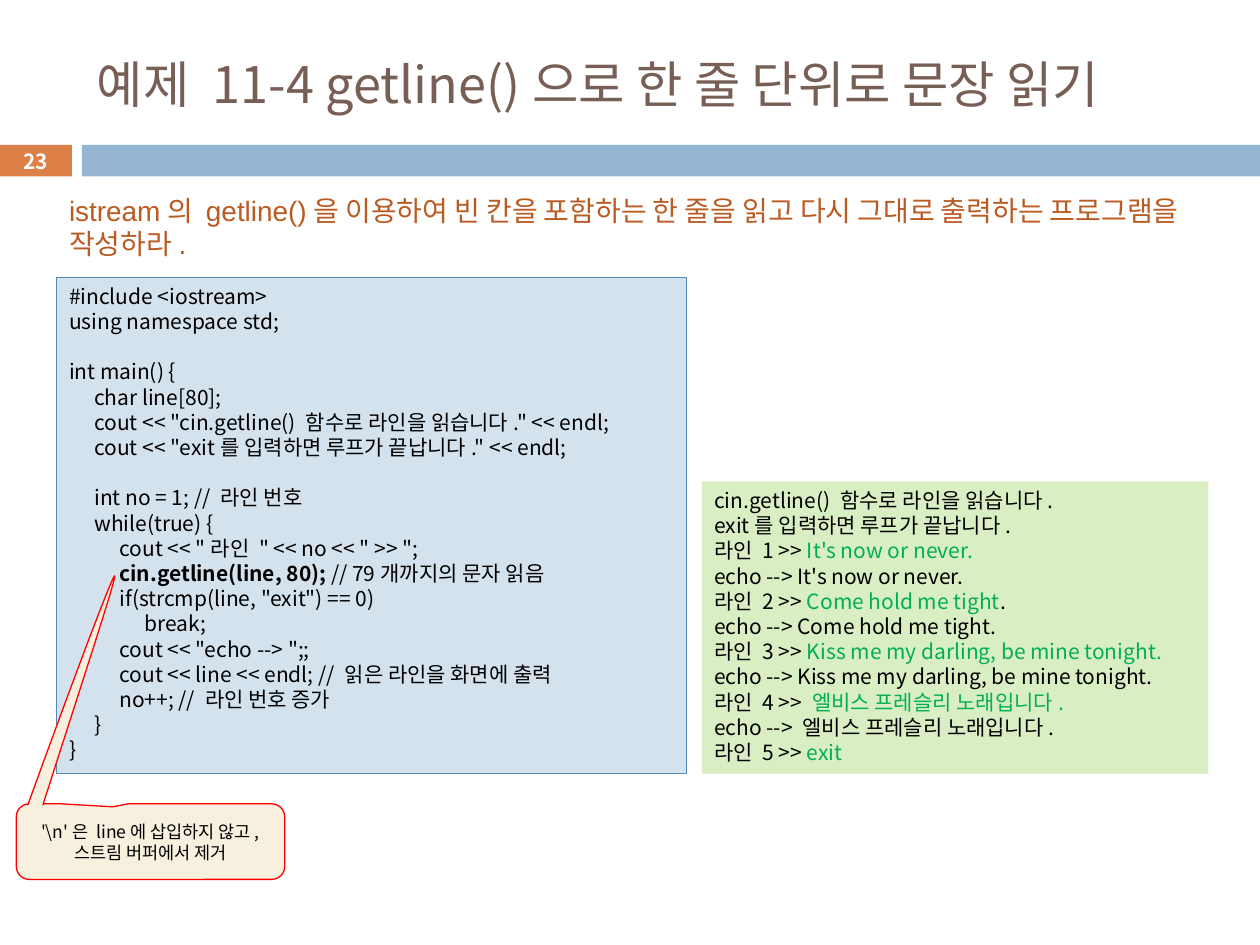
from pptx import Presentation
from pptx.dml.color import RGBColor
from pptx.enum.shapes import MSO_SHAPE
from pptx.enum.text import MSO_ANCHOR, PP_ALIGN
from pptx.oxml.ns import qn
from pptx.util import Inches, Pt
from lxml.etree import SubElement

BLACK = RGBColor(0x00, 0x00, 0x00)
WHITE = RGBColor(0xFF, 0xFF, 0xFF)
BROWN = RGBColor(0x77, 0x5F, 0x55)
RUST = RGBColor(0xB9, 0x5B, 0x22)
ORANGE = RGBColor(0xDD, 0x80, 0x47)
BLUE = RGBColor(0x94, 0xB6, 0xD2)
PALE_BLUE = RGBColor(0xD4, 0xE2, 0xED)
EDGE_BLUE = RGBColor(0x55, 0x8B, 0xB8)
PALE_GREEN = RGBColor(0xDA, 0xEE, 0xC4)
INPUT_GREEN = RGBColor(0x00, 0xB0, 0x50)
CREAM = RGBColor(0xF7, 0xF0, 0xDE)
RED = RGBColor(0xFF, 0x00, 0x00)
KOREAN_FONT = "Noto Sans CJK KR"

# Content: a line is a string, or a list of strings and (string, style) pairs
TITLE = "예제 11-4 getline()으로 한 줄 단위로 문장 읽기"
PAGE_NUMBER = "23"
TASK = ("istream의 getline()을 이용하여 빈 칸을 포함하는 한 줄을 읽고 "
        "다시 그대로 출력하는 프로그램을 작성하라.")
NOTE = r"'\n'은 line에 삽입하지 않고, 스트림 버퍼에서 제거"
BOLD = {"bold": True}
TYPED = {"color": INPUT_GREEN}

CODE = [
    "#include <iostream>",
    "using namespace std;",
    "",
    "int main() {",
    "\tchar line[80];",
    '\tcout << "cin.getline() 함수로 라인을 읽습니다." << endl;',
    '\tcout << "exit를 입력하면 루프가 끝납니다." << endl;',
    "",
    "\tint no = 1; // 라인 번호",
    "\twhile(true) {",
    '\t\tcout << "라인 " << no << " >> ";',
    ["\t\t", ("cin.getline(line, 80);", BOLD), " // 79개까지의 문자 읽음"],
    '\t\tif(strcmp(line, "exit") == 0)',
    "\t\t\tbreak;",
    '\t\tcout << "echo --> ";;',
    "\t\tcout << line << endl; // 읽은 라인을 화면에 출력",
    "\t\tno++; // 라인 번호 증가",
    "\t}",
    "}",
]
OUTPUT = [
    "cin.getline() 함수로 라인을 읽습니다.",
    "exit를 입력하면 루프가 끝납니다.",
    ["라인 1 >>", (" It's now or never.", TYPED)],
    "echo --> It's now or never.",
    ["라인 2 >>", (" Come hold me tight", TYPED), "."],
    "echo --> Come hold me tight.",
    ["라인 3 >> ", ("Kiss me my darling, be mine tonight.", TYPED)],
    "echo --> Kiss me my darling, be mine tonight.",
    ["라인 4 >> ", ("엘비스 프레슬리 노래입니다.", TYPED)],
    "echo --> 엘비스 프레슬리 노래입니다.",
    ["라인 5 >> ", ("exit", TYPED)],
]

# Two Bezier curves that meet at the tip of the pointer
POINTER = [
    [(0.22, 6.39), (0.55, 5.48), (0.89, 4.57), (0.91, 4.57)],
    [(0.91, 4.57), (0.93, 4.57), (0.63, 5.48), (0.34, 6.39)],
]
CURVE_STEPS = 16


def paint(shape, fill, line=None):
    shape.shadow.inherit = False
    shape.fill.solid()
    shape.fill.fore_color.rgb = fill
    if line is None:
        shape.line.fill.background()
    else:
        shape.line.color.rgb = line
        shape.line.width = Pt(0.75)


def add_panel(slide, box, fill, line=None, preset=MSO_SHAPE.RECTANGLE):
    panel = slide.shapes.add_shape(preset, *map(Inches, box))
    paint(panel, fill, line)
    return panel


def write(shape, lines, size, color=BLACK, font=KOREAN_FONT, bold=False, pitch=None,
          align=PP_ALIGN.LEFT, anchor=MSO_ANCHOR.TOP, tab=None):
    frame = shape.text_frame
    frame.word_wrap = True
    frame.vertical_anchor = anchor
    for number, line in enumerate(lines):
        paragraph = frame.paragraphs[0] if number == 0 else frame.add_paragraph()
        if tab:
            stops = SubElement(paragraph._p.get_or_add_pPr(), qn("a:tabLst"))
            for level in range(1, 4):
                SubElement(stops, qn("a:tab"), pos=str(Inches(tab * level)), algn="l")
        paragraph.alignment = align
        if pitch:
            paragraph.line_spacing = Pt(pitch)
        if not line:
            paragraph.font.size = Pt(size)
            continue
        for part in [line] if isinstance(line, str) else line:
            text, style = (part, {}) if isinstance(part, str) else part
            run = paragraph.add_run()
            run.text = text
            run.font.size = Pt(size)
            run.font.name = font
            run.font.bold = style.get("bold", bold)
            run.font.color.rgb = style.get("color", color)
            SubElement(run._r.get_or_add_rPr(), qn("a:ea"), typeface=KOREAN_FONT)


def bezier(points, t):
    weights = ((1 - t) ** 3, 3 * t * (1 - t) ** 2, 3 * t ** 2 * (1 - t), t ** 3)
    return tuple(Inches(sum(w * p[axis] for w, p in zip(weights, points)))
                 for axis in (0, 1))


def main():
    prs = Presentation()
    prs.slide_width, prs.slide_height = Inches(10), Inches(7.5)
    slide = prs.slides.add_slide(prs.slide_layouts[6])

    # Header bars, page number and title
    page_tab = add_panel(slide, (-0.01, 1.15, 0.58, 0.25), ORANGE)
    write(page_tab, [PAGE_NUMBER], 11.9, WHITE, bold=True,
          align=PP_ALIGN.CENTER, anchor=MSO_ANCHOR.MIDDLE)
    add_panel(slide, (0.65, 1.15, 9.35, 0.25), BLUE)
    title = slide.shapes.add_textbox(*map(Inches, (0.67, 0.25, 8.92, 0.82)))
    write(title, [TITLE], 28.8, BROWN, anchor=MSO_ANCHOR.MIDDLE)

    # Program output and source code
    output = add_panel(slide, (5.57, 3.82, 4.02, 2.32), PALE_GREEN)
    write(output, OUTPUT, 12, pitch=14.4)
    code = add_panel(slide, (0.45, 2.2, 5, 3.94), PALE_BLUE, EDGE_BLUE)
    write(code, CODE, 12, pitch=14.4, tab=0.2)

    # Note with its pointer to the getline call
    note = add_panel(slide, (0.13, 6.38, 2.13, 0.6), CREAM, RED,
                     MSO_SHAPE.ROUNDED_RECTANGULAR_CALLOUT)
    for index, value in enumerate((-0.14, -0.46, 0.17)):
        note.adjustments[index] = value
    write(note, [NOTE], 10, pitch=12, align=PP_ALIGN.CENTER, anchor=MSO_ANCHOR.MIDDLE)
    outline = [bezier(curve, step / CURVE_STEPS)
               for curve in POINTER for step in range(CURVE_STEPS + 1)]
    builder = slide.shapes.build_freeform(*outline[0])
    builder.add_line_segments(outline[1:], close=False)
    paint(builder.convert_to_shape(), CREAM, RED)

    # Task statement
    task = slide.shapes.add_textbox(*map(Inches, (0.45, 1.49, 9.13, 0.64)))
    task.text_frame.margin_right = Inches(0.2)
    write(task, [TASK], 16, RUST, font="Arial", pitch=19)

    prs.save("out.pptx")


if __name__ == "__main__":
    main()
